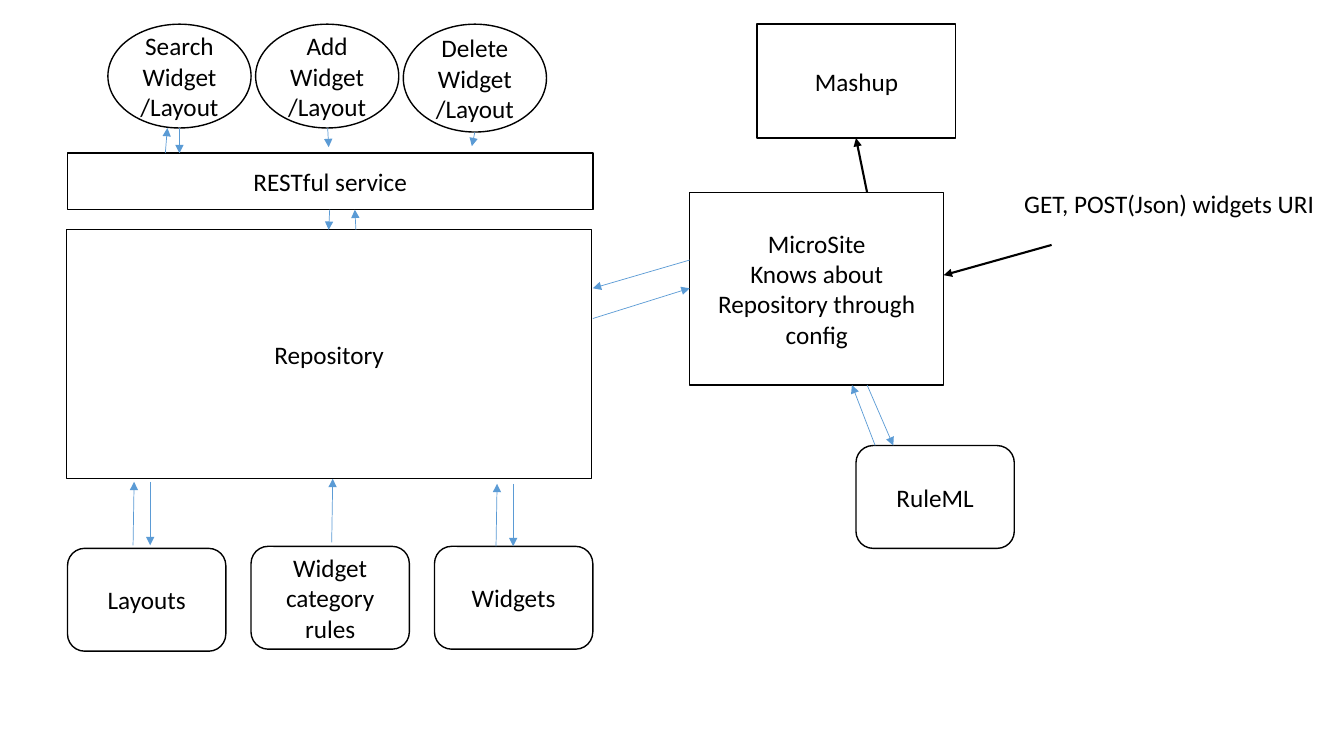
from dataclasses import dataclass

from lxml.etree import SubElement
from pptx import Presentation
from pptx.dml.color import RGBColor
from pptx.enum.shapes import MSO_CONNECTOR, MSO_SHAPE
from pptx.enum.text import MSO_ANCHOR, MSO_AUTO_SIZE, PP_ALIGN
from pptx.oxml.ns import qn
from pptx.util import Inches, Pt

COLUMNS, ROWS = 133.3, 75  # square grid cells, ten to the inch


@dataclass(frozen=True)
class Theme:
    """Colours, type and line weights of the diagram."""
    ink: RGBColor = RGBColor(0x00, 0x00, 0x00)
    paper: RGBColor = RGBColor(0xFF, 0xFF, 0xFF)
    flow: RGBColor = RGBColor(0x5B, 0x9B, 0xD5)
    font: str = "Calibri"
    text: Pt = Pt(18)
    outline: Pt = Pt(1)
    thin: Pt = Pt(0.5)
    bold: Pt = Pt(1.5)


@dataclass(frozen=True)
class Box:
    """A region in grid cells; its parts count from its top left corner."""
    left: float
    top: float

    def point(self, column, row):
        """Turn a place in the region into slide lengths."""
        return grid(self.left + column), grid(self.top + row)


THEME = Theme()


def grid(cells):
    """Convert grid cells to a slide length."""
    return Inches(cells / 10)


def write(frame, lines, align):
    """Fill a text frame with one paragraph per line."""
    for index, line in enumerate(lines):
        para = frame.add_paragraph() if index else frame.paragraphs[0]
        para.alignment = align
        span = para.add_run()
        span.text = line
        span.font.name = THEME.font
        span.font.size = THEME.text
        span.font.color.rgb = THEME.ink


def add_node(page, box, kind, place, *lines):
    """Add an outlined shape with centred text."""
    column, row, width, height = place
    node = page.shapes.add_shape(
        kind, *box.point(column, row), grid(width), grid(height))
    node.shadow.inherit = False
    node.fill.solid()
    node.fill.fore_color.rgb = THEME.paper
    node.line.color.rgb = THEME.ink
    node.line.width = THEME.outline
    node.text_frame.word_wrap = True
    node.text_frame.vertical_anchor = MSO_ANCHOR.MIDDLE
    write(node.text_frame, lines, PP_ALIGN.CENTER)


def add_arrows(page, box, routes, color, width):
    """Add arrows, each given as start column, row and end column, row."""
    for start_column, start_row, end_column, end_row in routes:
        arrow = page.shapes.add_connector(
            MSO_CONNECTOR.STRAIGHT,
            *box.point(start_column, start_row),
            *box.point(end_column, end_row))
        arrow.line.color.rgb = color
        arrow.line.width = width
        properties = arrow.line._get_or_add_ln()
        SubElement(properties, qn("a:tailEnd"), type="triangle")
        SubElement(arrow._element.spPr, qn("a:effectLst"))


def add_label(page, box, place, line):
    """Add a free line of text that does not wrap."""
    column, row, width, height = place
    label = page.shapes.add_textbox(
        *box.point(column, row), grid(width), grid(height))
    label.text_frame.word_wrap = False
    label.text_frame.auto_size = MSO_AUTO_SIZE.SHAPE_TO_FIT_TEXT
    write(label.text_frame, [line], PP_ALIGN.LEFT)


def build_repository(page, box):
    """Place the operations, service, repository and its stores."""
    operations = [("Search", 10.3), ("Add", 10.3), ("Delete", 10.7)]
    for index, (action, height) in enumerate(operations):
        add_node(page, box, MSO_SHAPE.OVAL,
                 (4 + index * 14.65, 0, 14.2, height),
                 f"{action} Widget/Layout")
    add_node(page, box, MSO_SHAPE.RECTANGLE, (0, 12.8, 52.1, 5.6),
             "RESTful service")
    add_node(page, box, MSO_SHAPE.RECTANGLE, (-0.1, 20.4, 52.1, 24.7),
             "Repository")
    stores = [("Layouts", 52), ("Widget category rules", 51.8),
              ("Widgets", 51.8)]
    for index, (store, row) in enumerate(stores):
        add_node(page, box, MSO_SHAPE.ROUNDED_RECTANGLE,
                 (index * 18.2, row, 15.7, 10.2), store)

    operation_routes = [(11.1, 10.3, 11.1, 12.8), (9.7, 12.8, 9.9, 10.3),
                        (25.8, 10.3, 25.9, 12.2), (40.4, 10.7, 40.1, 12.1)]
    service_routes = [(26, 18.4, 25.9, 20.4), (28.6, 20.4, 28.5, 18.4)]
    store_routes = [(8.2, 45.4, 8.2, 51.7), (6.5, 51.7, 6.6, 45.4),
                    (26.2, 51.4, 26.3, 45.1),
                    (44.2, 45.6, 44.2, 51.8), (42.5, 51.8, 42.6, 45.6)]
    add_arrows(page, box, operation_routes + service_routes + store_routes,
               THEME.flow, THEME.thin)


def build_microsite(page, box):
    """Place the microsite with its mashup, rules and request."""
    add_node(page, box, MSO_SHAPE.RECTANGLE, (0, 16.7, 25.2, 19.1),
             "MicroSite", "Knows about Repository through config")
    add_node(page, box, MSO_SHAPE.RECTANGLE, (6.7, 0, 19.7, 11.3), "Mashup")
    add_node(page, box, MSO_SHAPE.ROUNDED_RECTANGLE,
             (16.5, 41.8, 15.7, 10.2), "RuleML")
    add_label(page, box, (32.2, 15.8, 31.1, 4),
              "GET, POST(Json) widgets URI")

    request_routes = [(35.9, 21.9, 25.2, 24.9), (17.6, 16.7, 16.5, 11.3)]
    repository_routes = [(0, 23.4, -9.6, 26.2), (-9.6, 29.2, 0, 26.2)]
    rule_routes = [(17.6, 35.8, 20.2, 41.8), (18.4, 41.8, 16.1, 35.8)]
    add_arrows(page, box, request_routes, THEME.ink, THEME.bold)
    add_arrows(page, box, repository_routes + rule_routes,
               THEME.flow, THEME.thin)


def main():
    """Build the one-page deck and save it."""
    deck = Presentation()
    deck.slide_width, deck.slide_height = grid(COLUMNS), grid(ROWS)
    page = deck.slides.add_slide(deck.slide_layouts.get_by_name("Blank"))
    build_repository(page, Box(6.7, 2.4))
    build_microsite(page, Box(68.4, 2.4))
    deck.save("out.pptx")


main()
